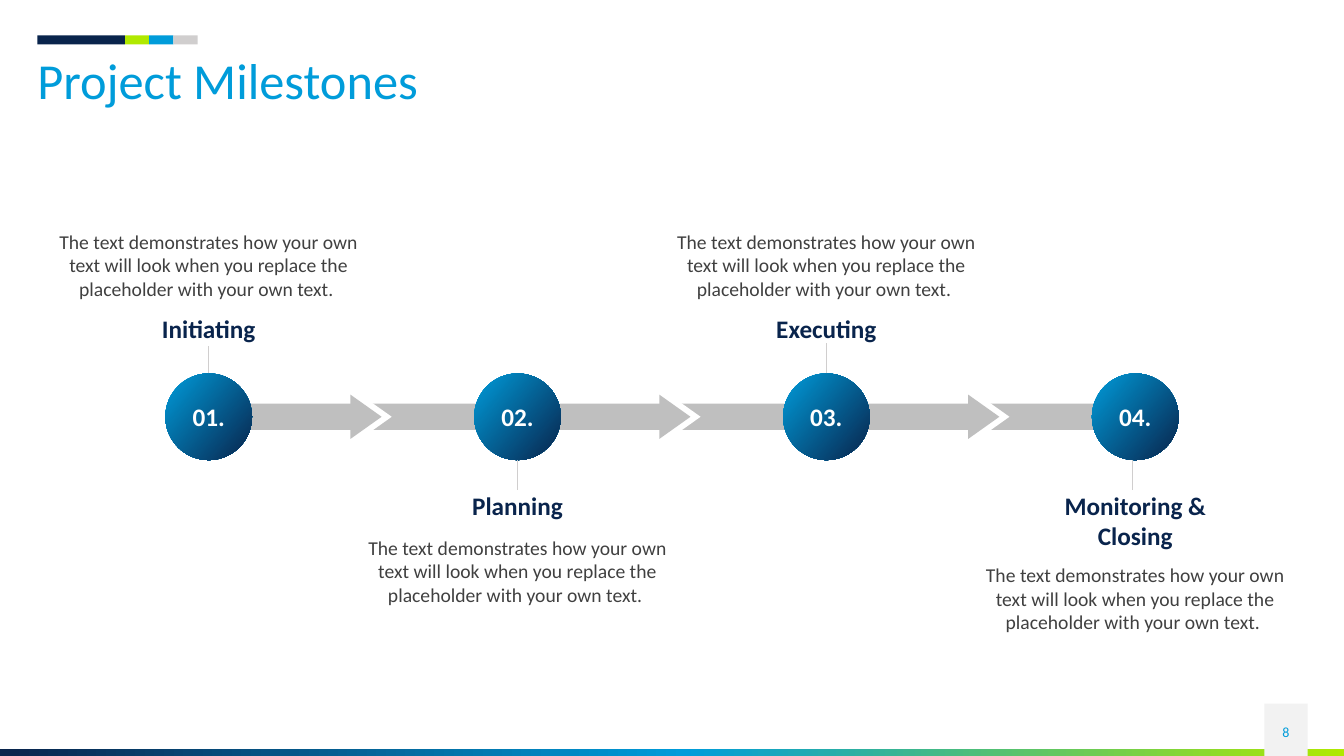
"""Build the project milestones timeline slide."""
from collections import namedtuple
from dataclasses import dataclass

from lxml import etree
from pptx import Presentation
from pptx import util as u
from pptx.dml.color import RGBColor
from pptx.enum import shapes, text
from pptx.oxml.ns import qn

Box = namedtuple("Box", "left top width height")
Milestone = namedtuple("Milestone", "name above stem stem_shift name_width name_lines")


@dataclass(frozen=True)
class Theme:
    """Colours, font and type sizes of the slide."""
    navy: str = "09244C"
    blue: str = "009CDA"
    lime: str = "B0E900"
    silver: str = "D0CECE"
    track: str = "BFBFBF"
    tab: str = "F2F2F2"
    white: str = "FFFFFF"
    body: str = "404040"
    font: str = "Calibri"
    title_size: int = 36
    name_size: int = 18
    body_size: int = 14
    page_size: int = 10


THEME = Theme()
DESCRIPTION = ("The text demonstrates how your own text will look when you "
               "replace the placeholder with your own text. ")
MILESTONES = [
    Milestone("Initiating", True, 0.27, 0, 1.86, 1),
    Milestone("Planning", False, 0.3, 0, 1.86, 1),
    Milestone("Executing", True, 0.3, 0, 1.86, 1),
    Milestone("Monitoring & Closing", False, 0.3, -0.03, 2.05, 2),
]


def inches(box):
    """Convert a box of inches to lengths."""
    return [u.Inches(length) for length in box]


def centred(x, y, width, height):
    """Return a box around a centre point."""
    return Box(x - width / 2, y - height / 2, width, height)


def add_solid(slide, kind, box, colour, rotation=0):
    """Add a flat preset shape without an outline."""
    shape = slide.shapes.add_shape(kind, *inches(box))
    shape.shadow.inherit = False
    shape.fill.solid()
    shape.fill.fore_color.rgb = RGBColor.from_string(colour)
    shape.line.fill.background()
    shape.rotation = rotation
    return shape


def set_gradient(shape, stops, angle):
    """Give a shape a linear gradient of (percent, colour) stops."""
    shape.fill.gradient()
    gradient = shape._element.spPr.find(qn("a:gradFill"))
    gradient.find(qn("a:lin")).set("ang", str(angle * 60000))
    stop_list = gradient.find(qn("a:gsLst"))
    for old in list(stop_list):
        stop_list.remove(old)
    for percent, colour in stops:
        stop = etree.SubElement(stop_list, qn("a:gs"), pos=str(percent * 1000))
        etree.SubElement(stop, qn("a:srgbClr"), val=colour)


def write(shape, words, size, colour, bold=False, align=text.PP_ALIGN.CENTER,
          anchor=text.MSO_ANCHOR.TOP):
    """Write one styled run into a shape with no insets."""
    frame = shape.text_frame
    frame.word_wrap = True
    frame.auto_size = text.MSO_AUTO_SIZE.NONE
    frame.vertical_anchor = anchor
    frame.margin_left = frame.margin_right = frame.margin_top = frame.margin_bottom = 0
    paragraph = frame.paragraphs[0]
    paragraph.alignment = align
    run = paragraph.add_run()
    run.text = words
    run.font.name, run.font.size, run.font.bold = THEME.font, u.Pt(size), bold
    run.font.color.rgb = RGBColor.from_string(colour)
    return paragraph


def add_label(slide, box, *style):
    """Add a centred text box."""
    write(slide.shapes.add_textbox(*inches(box)), *style)


def add_stem(slide, x, start, end):
    """Add a thin vertical line between a disc and its name."""
    stem = slide.shapes.add_connector(
        shapes.MSO_CONNECTOR.STRAIGHT, *inches((x, start, x, end)))
    stem.line.color.rgb = RGBColor.from_string(THEME.silver)
    stem.line.width = u.Pt(0.5)
    etree.SubElement(stem._element.spPr, qn("a:effectLst"))


def add_header(slide, box):
    """Place the colour strip and the title."""
    left = box.left
    for width, colour in ((0.87, THEME.navy), (0.24, THEME.lime),
                          (0.24, THEME.blue), (0.24, THEME.silver)):
        add_solid(slide, shapes.MSO_SHAPE.RECTANGLE, Box(left, box.top, width, 0.09), colour)
        left += width
    title = slide.shapes.title
    title.left, title.top, title.width, title.height = inches(
        (box.left, box.top + 0.21, box.width, 0.55))
    paragraph = write(title, "Project Milestones", THEME.title_size, THEME.blue,
                      align=text.PP_ALIGN.LEFT)
    paragraph.line_spacing = 0.9


def add_footer(slide, box):
    """Place the gradient band and the page number tab."""
    band = add_solid(slide, shapes.MSO_SHAPE.RECTANGLE,
                     Box(box.left, box.top + box.height - 0.07, box.width, 0.07), THEME.blue)
    set_gradient(band, ((0, THEME.navy), (51, THEME.blue), (100, THEME.lime)), 0)
    tab = Box(box.left + box.width - 0.79, box.top, 0.43, box.height)
    add_solid(slide, shapes.MSO_SHAPE.RECTANGLE, tab, THEME.tab)
    number = slide.shapes.add_textbox(*inches(tab._replace(top=tab.top + 0.08, height=0.4)))
    write(number, "8", THEME.page_size, THEME.blue, anchor=text.MSO_ANCHOR.MIDDLE)


def add_track(slide, centres, axis):
    """Place the grey bar with an arrowhead between neighbouring discs."""
    add_solid(slide, shapes.MSO_SHAPE.RECTANGLE,
              Box(centres[0] - 0.34, axis - 0.13, centres[-1] - centres[0] + 0.68, 0.26),
              THEME.track)
    for offset, colour in ((1.66, THEME.white), (1.56, THEME.track)):
        for x in centres[:-1]:
            add_solid(slide, shapes.MSO_SHAPE.ISOSCELES_TRIANGLE,
                      centred(x + offset, axis, 0.44, 0.31), colour, 90)


def add_milestone(slide, box, axis, number, milestone):
    """Place one numbered disc with its stem, name and description."""
    x = box.left + box.width / 2
    radius = 0.43
    disc = add_solid(slide, shapes.MSO_SHAPE.OVAL, centred(x, axis, 0.86, 0.86), THEME.blue)
    set_gradient(disc, ((0, THEME.blue), (100, THEME.navy)), 40)
    write(disc, f"{number:02d}.", THEME.name_size, THEME.white, True,
          anchor=text.MSO_ANCHOR.MIDDLE)
    side = -1 if milestone.above else 1
    edge = axis + side * radius
    add_stem(slide, x + milestone.stem_shift, edge, edge + side * milestone.stem)
    name_top = axis - 1.03 if milestone.above else axis + 0.73
    body_top = box.top if milestone.above else axis + 0.91 + 0.27 * milestone.name_lines
    add_label(slide, Box(x - milestone.name_width / 2, name_top, milestone.name_width,
                         0.34 + 0.31 * (milestone.name_lines - 1)),
              milestone.name, THEME.name_size, THEME.navy, True)
    add_label(slide, Box(box.left, body_top, box.width, 0.75),
              DESCRIPTION, THEME.body_size, THEME.body)


def add_timeline(slide, box):
    """Spread the milestones evenly along one axis."""
    column = 3.3
    axis = box.top + 1.855
    pitch = (box.width - column) / (len(MILESTONES) - 1)
    lefts = [box.left + i * pitch for i in range(len(MILESTONES))]
    add_track(slide, [left + column / 2 for left in lefts], axis)
    for number, (left, milestone) in enumerate(zip(lefts, MILESTONES), 1):
        add_milestone(slide, Box(left, box.top, column, box.height), axis, number, milestone)


def main():
    """Build and save the deck."""
    deck = Presentation()
    deck.slide_width, deck.slide_height = u.Inches(13.33), u.Inches(7.5)
    slide = deck.slides.add_slide(deck.slide_layouts[5])
    add_footer(slide, Box(0, 6.98, 13.33, 0.52))
    add_header(slide, Box(0.37, 0.35, 12.6, 0.76))
    add_timeline(slide, Box(0.42, 2.28, 12.49, 4.05))
    deck.save("out.pptx")


main()
